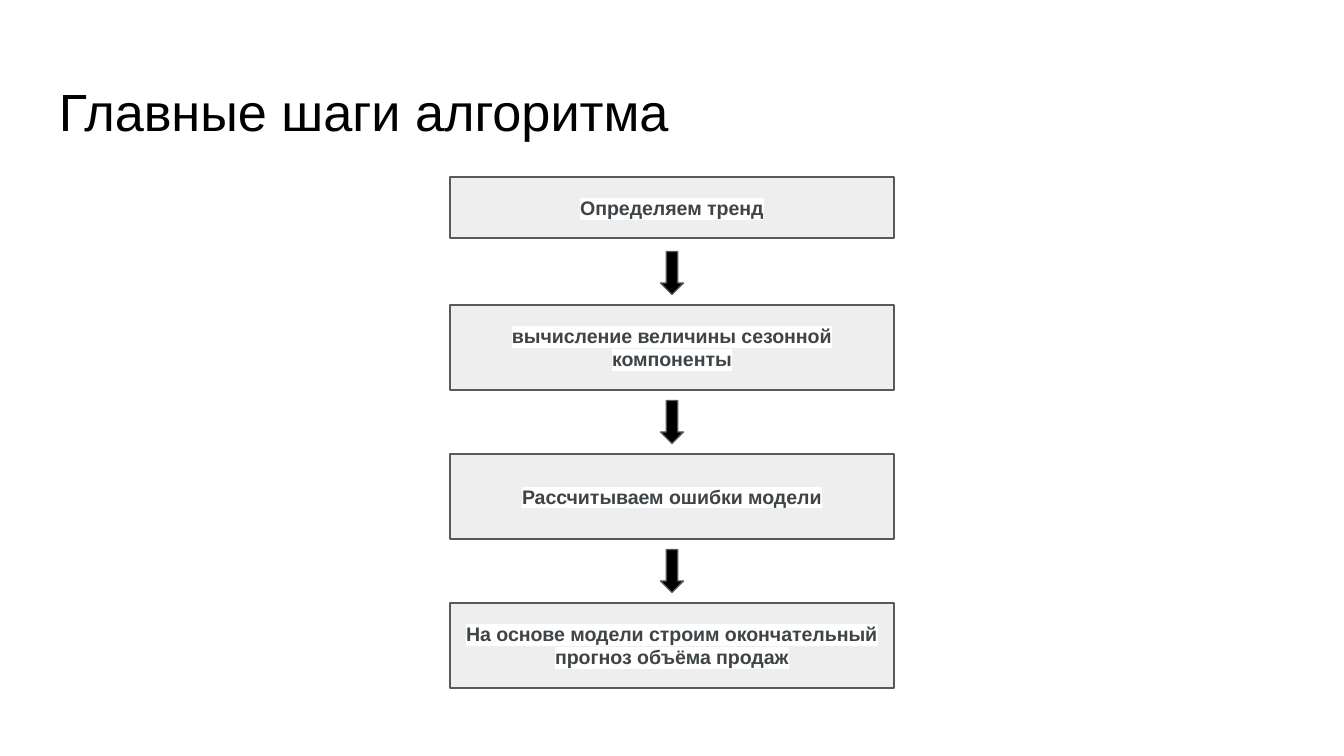
from lxml import etree
from pptx import Presentation
from pptx.dml.color import RGBColor
from pptx.enum.shapes import MSO_SHAPE
from pptx.enum.text import MSO_ANCHOR, PP_ALIGN
from pptx.oxml.ns import qn
from pptx.util import Emu, Pt

RECTANGLE, ARROW = MSO_SHAPE.RECTANGLE, MSO_SHAPE.RIGHT_ARROW
TOP, MIDDLE = MSO_ANCHOR.TOP, MSO_ANCHOR.MIDDLE
LEFT, CENTER = PP_ALIGN.LEFT, PP_ALIGN.CENTER

# Content
TITLE = "Главные шаги алгоритма"
STEPS = [
    "Определяем тренд",
    "вычисление величины сезонной компоненты",
    "Рассчитываем ошибки модели",
    "На основе модели строим окончательный прогноз объёма продаж",
]

THEME = {
    "font": "Arial", "title_size": 28, "step_size": 10.5, "line_width": 0.75,
    "title": "000000", "step_text": "3E4447", "highlight": "FFFFFF",
    "box": "EEEEEE", "arrow": "000000", "line": "595959",
}

# Layout in pixels
SCALE = 914400 / 134.4
SLIDE_SIZE = (1344, 756)
TITLE_BOX = (46, 66, 1252, 84)
INSET = 13
BOX_LEFT, BOX_WIDTH, BOX_HEIGHT = 450, 444, 85
FIRST_TOP, FIRST_HEIGHT = 177, 61
SECOND_TOP, PITCH = 305, 149
ARROW_LENGTH, ARROW_WIDTH, ARROW_RISE = 43, 23, 32


def px(value):
    return Emu(round(value * SCALE))


def color(name):
    return RGBColor.from_string(THEME[name])


def write_text(shape, text, *, size, fill, bold=False, align=LEFT,
               anchor=TOP, highlight=None):
    frame = shape.text_frame
    frame.word_wrap = True
    frame.vertical_anchor = anchor
    frame.margin_left = frame.margin_right = px(INSET)
    frame.margin_top = frame.margin_bottom = px(INSET)
    paragraph = frame.paragraphs[0]
    paragraph.alignment = align
    run = paragraph.add_run()
    run.text = text
    run.font.name = THEME["font"]
    run.font.size = Pt(THEME[size])
    run.font.bold = bold
    run.font.color.rgb = color(fill)
    if highlight:
        mark = etree.Element(qn("a:highlight"))
        etree.SubElement(mark, qn("a:srgbClr"), val=THEME[highlight])
        run.font._element.find(qn("a:solidFill")).addnext(mark)


def add_outlined(slide, kind, box, fill):
    shape = slide.shapes.add_shape(kind, *map(px, box))
    shape.shadow.inherit = False
    shape.fill.solid()
    shape.fill.fore_color.rgb = color(fill)
    shape.line.color.rgb = color("line")
    shape.line.width = Pt(THEME["line_width"])
    return shape


presentation = Presentation()
presentation.slide_width, presentation.slide_height = map(px, SLIDE_SIZE)
slide = presentation.slides.add_slide(presentation.slide_layouts[6])

# Title
title = slide.shapes.add_textbox(*map(px, TITLE_BOX))
write_text(title, TITLE, size="title_size", fill="title")

# Steps, each after the first with an arrow leading into it
center = BOX_LEFT + BOX_WIDTH / 2
for index, step in enumerate(STEPS):
    top, height = FIRST_TOP, FIRST_HEIGHT
    if index:
        top, height = SECOND_TOP + (index - 1) * PITCH, BOX_HEIGHT
        arrow_box = (center - ARROW_LENGTH / 2, top - ARROW_RISE - ARROW_WIDTH / 2,
                     ARROW_LENGTH, ARROW_WIDTH)
        add_outlined(slide, ARROW, arrow_box, "arrow").rotation = 90
    box = add_outlined(slide, RECTANGLE, (BOX_LEFT, top, BOX_WIDTH, height), "box")
    write_text(box, step, size="step_size", fill="step_text", bold=True,
               align=CENTER, anchor=MIDDLE, highlight="highlight")

presentation.save("out.pptx")
